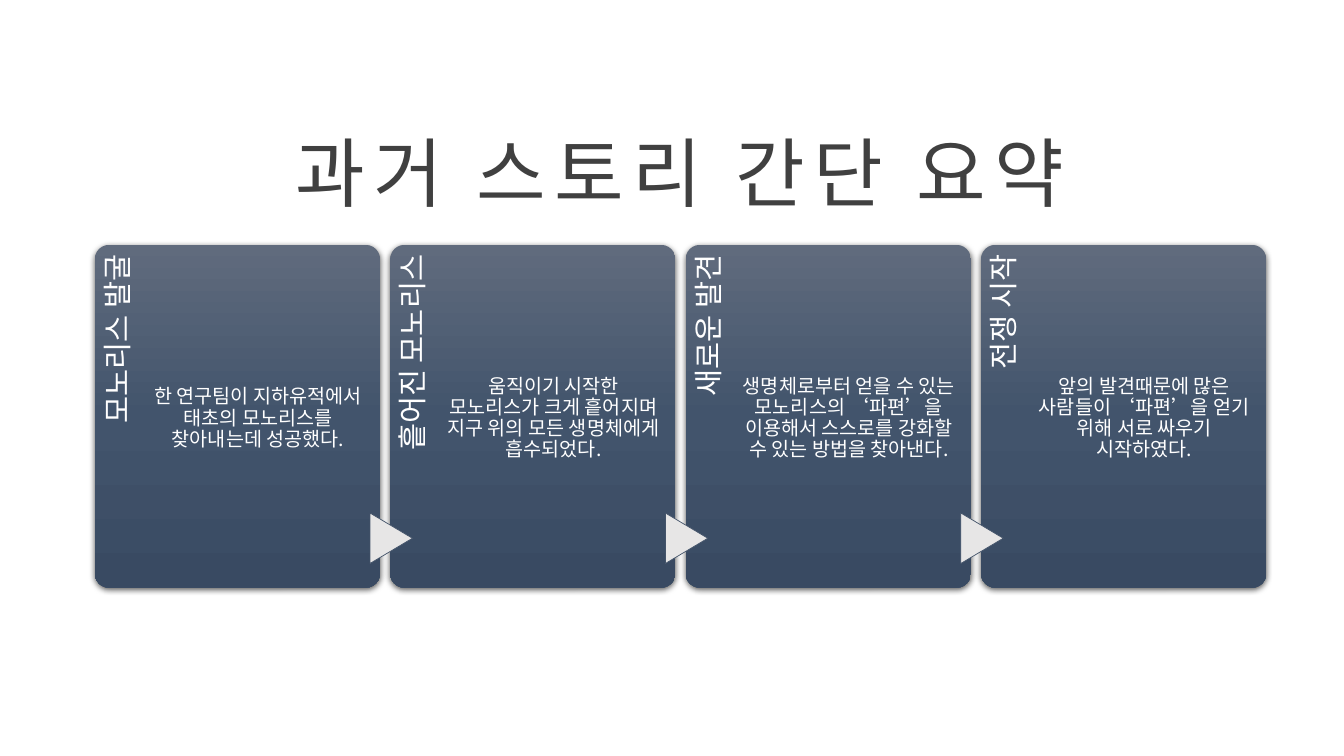
from lxml import etree
from pptx import Presentation
from pptx.dml.color import RGBColor
from pptx.enum.shapes import MSO_SHAPE as SHAPE
from pptx.enum.text import MSO_ANCHOR as ANCHOR, MSO_AUTO_SIZE as AUTO, PP_ALIGN as ALIGN
from pptx.oxml import parse_xml
from pptx.oxml.ns import nsdecls, qn
from pptx.util import Inches, Pt

FONT = "Noto Sans CJK KR"
STEPS = [
    ("모노리스 발굴", "한 연구팀이 지하유적에서 태초의 모노리스를 찾아내는데 성공했다."),
    ("흩어진 모노리스", "움직이기 시작한 모노리스가 크게 흩어지며 지구 위의 모든 생명체에게 흡수되었다."),
    ("새로운 발견", "생명체로부터 얻을 수 있는 모노리스의 ‘파편’을 이용해서 스스로를 강화할 "
                "수 있는 방법을 찾아낸다."),
    ("전쟁 시작", "앞의 발견때문에 많은 사람들이 ‘파편’을 얻기 위해 서로 싸우기 시작하였다."),
]
CARD_FILL = [(0, "606B7D"), (50, "42546C"), (100, "394A62")]


def color(value):
    """Turn a hex string into a colour."""
    return RGBColor.from_string(value)


def add_shape(s, kind, x, y, w, h):
    """Add a preset shape without the theme shadow."""
    sp = s.shapes.add_shape(kind, Inches(x), Inches(y), Inches(w), Inches(h))
    sp.shadow.inherit = False
    return sp


def add_text(s, text, box, size, font, hex_color, align, insets=None):
    """Add a wrapping text box with one formatted paragraph."""
    sp = s.shapes.add_textbox(*(Inches(v) for v in box))
    tf = sp.text_frame
    tf.word_wrap = True
    if insets:
        (tf.margin_left, tf.margin_top,
         tf.margin_right, tf.margin_bottom) = (Inches(v) for v in insets)
    p = tf.paragraphs[0]
    p.text = text
    p.alignment = align
    r = p.runs[0]
    r.font.size, r.font.name = Pt(size), font
    r.font.color.rgb = color(hex_color)
    return sp


def style_step_text(sp):
    """Set tight lines, 35% space after and the East Asian font."""
    p = sp.text_frame.paragraphs[0]
    p.line_spacing = 0.9
    after = etree.SubElement(p._p.get_or_add_pPr(), qn("a:spcAft"))
    etree.SubElement(after, qn("a:spcPct")).set("val", "35000")
    rpr = p.runs[0]._r.get_or_add_rPr()
    etree.SubElement(rpr, qn("a:ea")).set("typeface", FONT)


def add_panel(s, x, y, w, h):
    """Add a rounded panel with a vertical gradient and a soft shadow."""
    sp = add_shape(s, SHAPE.ROUNDED_RECTANGLE, x, y, w, h)
    sp.adjustments[0] = 0.05
    sp.line.fill.background()
    stops = "".join(f'<a:gs pos="{pos * 1000}"><a:srgbClr val="{c}"/></a:gs>'
                    for pos, c in CARD_FILL)
    sppr = sp._element.spPr
    sppr.find(qn("a:prstGeom")).addnext(parse_xml(
        f'<a:gradFill {nsdecls("a")} rotWithShape="1"><a:gsLst>{stops}</a:gsLst>'
        '<a:lin ang="5400000" scaled="0"/></a:gradFill>'))
    sppr.find(qn("a:effectLst")).append(parse_xml(
        f'<a:outerShdw {nsdecls("a")} blurRad="{Pt(4.5)}" dist="{Pt(1.5)}" dir="5400000" '
        'algn="ctr" rotWithShape="0"><a:srgbClr val="000000"><a:alpha val="63000"/>'
        '</a:srgbClr></a:outerShdw>'))


def add_step(s, heading, body, x, y, w, h):
    """Build a step card: panel, sideways heading and centred body."""
    add_panel(s, x, y, w, h)
    strip, length = 0.2 * w, 0.82 * h
    box = (x + (strip - length) / 2, y + (length - strip) / 2, length, strip)
    sp = add_text(s, heading, box, 21, FONT, "FFFFFF", ALIGN.RIGHT, (0, 0.08, 0.1, 0))
    sp.rotation = 270
    style_step_text(sp)
    sp = add_text(s, body, (x + strip, y, 0.745 * w, h), 14, FONT, "FFFFFF",
                  ALIGN.CENTER, (0, 0.05, 0, 0))
    sp.text_frame.vertical_anchor = ANCHOR.MIDDLE
    style_step_text(sp)


def add_arrow(s, cx, cy, w=0.5, h=0.42):
    """Add a triangle pointing right, centred on a point."""
    sp = add_shape(s, SHAPE.FLOWCHART_EXTRACT, cx - w / 2, cy - h / 2, w, h)
    sp.rotation = 90
    sp.fill.solid()
    sp.fill.fore_color.rgb = color("E7E6E6")
    sp.line.color.rgb = color("44546A")
    sp.line.width = Pt(0.5)


def add_process(s, x, y, w, h, gap=0.1):
    """Spread the step cards evenly and join them with arrows."""
    card_w = (w - gap * (len(STEPS) - 1)) / len(STEPS)
    for i, (heading, body) in enumerate(STEPS):
        left = x + i * (card_w + gap)
        add_step(s, heading, body, left, y, card_w, h)
        if i:
            add_arrow(s, left + 0.01, y + 2.91)


def add_title(s, x, y, w, h):
    """Add the widely spaced slide title."""
    sp = add_text(s, "과거 스토리 간단 요약", (x, y, w, h), 54, "Arial", "404040", ALIGN.CENTER)
    sp.text_frame.auto_size = AUTO.SHAPE_TO_FIT_TEXT
    sp.text_frame.paragraphs[0].runs[0]._r.get_or_add_rPr().set("spc", "600")


def main():
    """Build and save the slide."""
    prs = Presentation()
    prs.slide_width, prs.slide_height = Inches(13.33), Inches(7.5)
    s = prs.slides.add_slide(prs.slide_layouts[6])
    add_process(s, 0.94, 2.43, 11.62, 3.4)
    add_title(s, 1.63, 1.2, 10.24, 1.01)
    prs.save("out.pptx")


main()
